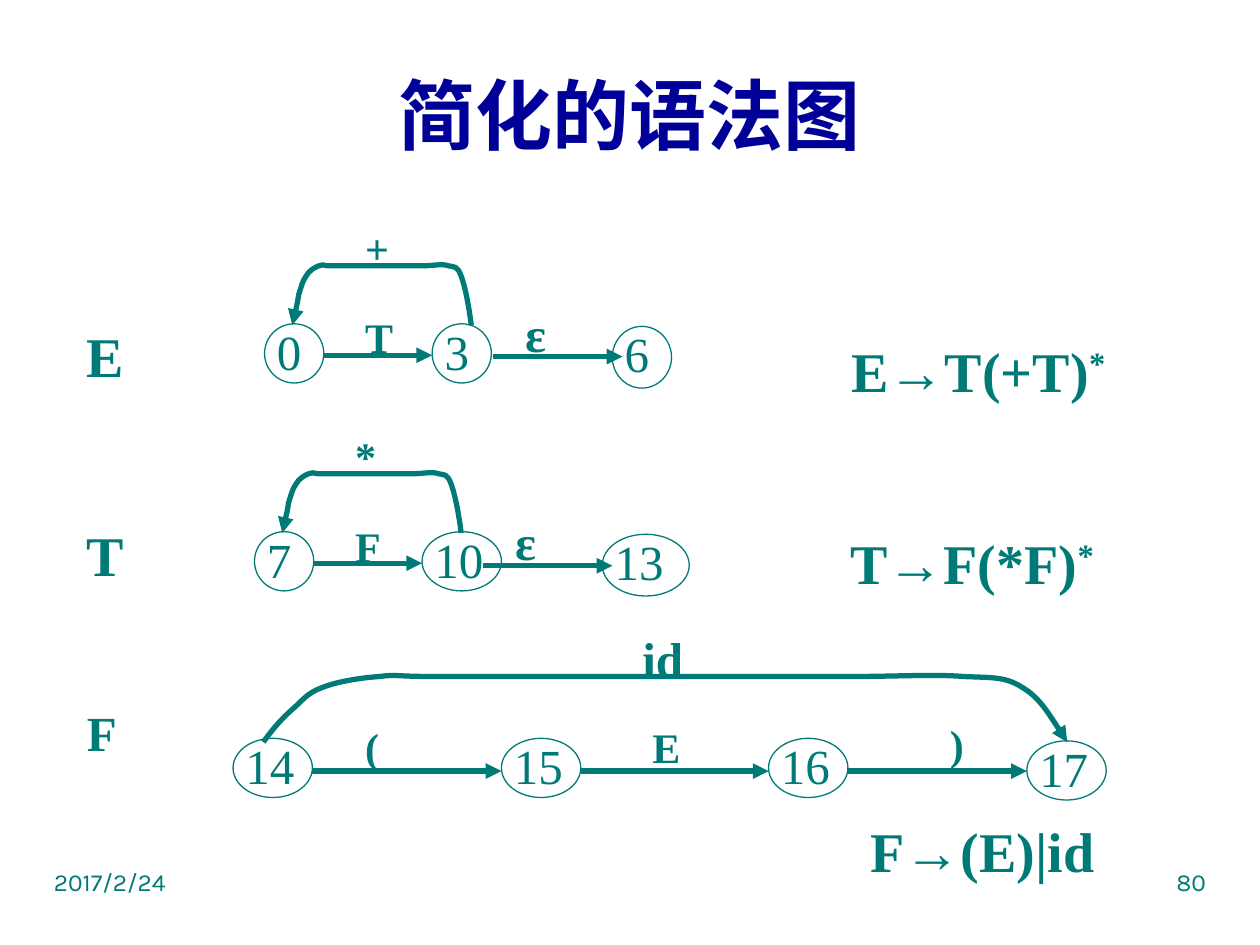
from dataclasses import dataclass
from typing import Sequence

from lxml.etree import SubElement
from pptx import Presentation
from pptx.dml.color import RGBColor
from pptx.enum.shapes import MSO_CONNECTOR, MSO_SHAPE
from pptx.enum.text import MSO_ANCHOR, PP_ALIGN as Align
from pptx.oxml.ns import qn
from pptx.util import Inches, Pt

Point = tuple[float, float]


@dataclass(frozen=True)
class Theme:
    ink: RGBColor = RGBColor(0x00, 0x7A, 0x77)
    heading: RGBColor = RGBColor(0x00, 0x00, 0x99)
    serif: str = "Times New Roman"
    footer_font: str = "Karla"
    title: int = 44
    formula: int = 32
    large: int = 28
    label: int = 24
    footer: int = 14
    outline: float = 0.75
    arrow: float = 3


@dataclass(frozen=True)
class State:
    number: str
    left: float
    top: float
    width: float = 0.47
    height: float = 0.47


@dataclass(frozen=True)
class Label:
    wording: str
    left: float
    top: float
    size: int
    width: float = 0.71
    height: float = 0.57


@dataclass(frozen=True)
class Formula:
    wording: str
    left: float
    top: float
    width: float
    superscript: str = ""
    spacing: float = 1.0


@dataclass(frozen=True)
class Edge:
    start: float
    end: float
    y: float


THEME = Theme()

STATES = [
    State("3", 3.43, 2.57), State("0", 2.1, 2.57), State("6", 4.86, 2.59, height=0.49),
    State("10", 3.35, 4.22, 0.63), State("7", 2.02, 4.22), State("13", 4.78, 4.24, 0.69, 0.49),
    State("14", 1.85, 5.86, 0.63), State("15", 3.98, 5.86, 0.63),
    State("16", 6.1, 5.86, 0.63), State("17", 8.15, 5.88, 0.63),
]
EDGES = [
    Edge(2.57, 3.43, 2.82), Edge(3.91, 4.94, 2.83),
    Edge(2.49, 3.35, 4.47), Edge(3.83, 4.86, 4.49),
    Edge(2.48, 3.98, 6.12), Edge(4.61, 6.1, 6.12), Edge(6.73, 8.15, 6.12),
]
LABELS = [
    Label("E", 0.59, 2.5, THEME.formula), Label("T", 0.59, 4.08, THEME.formula),
    Label("F", 0.59, 5.53, THEME.large),
    Label("+", 2.8, 1.72, THEME.label), Label("T", 2.8, 2.42, THEME.label),
    Label("ε", 4.07, 2.36, THEME.large),
    Label("*", 2.72, 3.37, THEME.label), Label("F", 2.72, 4.08, THEME.label),
    Label("ε", 3.99, 4.01, THEME.large),
    Label("(", 2.8, 5.68, THEME.label), Label("E", 5.08, 5.68, THEME.label),
    Label(")", 7.44, 5.65, THEME.label), Label("id", 5, 4.94, THEME.large),
]
FORMULAS = [
    Formula("E→T(+T)", 6.66, 2.57, 2.36, "*", 1.1),
    Formula("T→F(*F)", 6.65, 4.09, 2.35, "*", 1.1),
    Formula("F→(E)|id", 6.81, 6.43, 2.28),
]
# Each curve is a start point followed by triples of Bézier points.
REPEAT_LOOP = [
    (3.74, 2.58), (3.72, 2.42), (3.69, 2.27), (3.66, 2.19),
    (3.63, 2.11), (3.61, 2.12), (3.56, 2.11), (3.51, 2.09), (3.44, 2.11), (3.35, 2.11),
    (3.27, 2.11), (3.17, 2.11), (3.04, 2.11), (2.92, 2.11), (2.72, 2.11), (2.63, 2.11),
    (2.55, 2.11), (2.56, 2.09), (2.53, 2.11), (2.5, 2.12), (2.45, 2.15), (2.43, 2.19),
    (2.4, 2.23), (2.39, 2.28), (2.37, 2.34), (2.36, 2.41), (2.34, 2.49), (2.32, 2.58),
]
LOOP_SHIFTS = [(0, 0), (-0.08, 1.65)]
ID_ARC = [
    (8.47, 5.89), (8.36, 5.72), (8.25, 5.54), (8.12, 5.46),
    (7.98, 5.37), (7.89, 5.38), (7.65, 5.37), (7.42, 5.35), (7.11, 5.37), (6.73, 5.37),
    (6.34, 5.37), (5.88, 5.37), (5.33, 5.37), (4.79, 5.37), (3.87, 5.37), (3.48, 5.37),
    (3.09, 5.37), (3.17, 5.35), (3.01, 5.37), (2.86, 5.38), (2.67, 5.41), (2.55, 5.46),
    (2.44, 5.5), (2.4, 5.56), (2.32, 5.63), (2.24, 5.7), (2.16, 5.79), (2.09, 5.89),
]


def add_run(paragraph, wording: str, size: int, bold: bool = True,
            color: RGBColor = THEME.ink, face: str = THEME.serif):
    run = paragraph.add_run()
    run.text = wording
    font = run.font
    font.name, font.size, font.bold = face, Pt(size), bold
    font.color.rgb = color
    return run


def add_paragraph_box(shapes, left: float, top: float, width: float, height: float):
    """Add a wrapping text box and return its first paragraph."""
    frame = shapes.add_textbox(*map(Inches, (left, top, width, height))).text_frame
    frame.word_wrap = True
    return frame.paragraphs[0]


def style_arrow(arrow, arrowhead: str) -> None:
    arrow.line.color.rgb = THEME.ink
    arrow.line.width = Pt(THEME.arrow)
    SubElement(arrow.line._get_or_add_ln(), qn(f"a:{arrowhead}"), type="triangle")


def add_state(slide, state: State) -> None:
    members = slide.shapes.add_group_shape().shapes
    circle = members.add_shape(
        MSO_SHAPE.OVAL, *map(Inches, (state.left, state.top, state.width, state.height)))
    circle.shadow.inherit = False
    circle.fill.background()
    circle.line.color.rgb = THEME.ink
    circle.line.width = Pt(THEME.outline)
    number = add_paragraph_box(members, state.left, state.top - 0.07, state.width, 0.57)
    add_run(number, state.number, THEME.large, bold=False)


def add_edge(slide, edge: Edge) -> None:
    arrow = slide.shapes.add_connector(
        MSO_CONNECTOR.STRAIGHT, *map(Inches, (edge.start, edge.y, edge.end, edge.y)))
    style_arrow(arrow, "tailEnd")
    SubElement(arrow._element.spPr, qn("a:effectLst"))


def add_curve(slide, points: Sequence[Point], arrowhead: str) -> None:
    """Draw the points as an outline, then turn each three segments into one Bézier."""
    start, *rest = [(Inches(x), Inches(y)) for x, y in points]
    builder = slide.shapes.build_freeform(*start)
    builder.add_line_segments(rest, close=False)
    curve = builder.convert_to_shape()
    curve.shadow.inherit = False
    curve.fill.background()
    style_arrow(curve, arrowhead)
    outline = curve._element.find(f".//{qn('a:path')}")
    segments = outline.findall(qn("a:lnTo"))
    for first in range(0, len(segments), 3):
        bezier = SubElement(outline, qn("a:cubicBezTo"))
        for segment in segments[first:first + 3]:
            bezier.append(segment[0])
            outline.remove(segment)


def add_formula(slide, formula: Formula) -> None:
    rule = add_paragraph_box(slide.shapes, formula.left, formula.top, formula.width, 0.65)
    rule.line_spacing = formula.spacing
    add_run(rule, formula.wording, THEME.formula)
    if formula.superscript:
        raised = add_run(rule, formula.superscript, THEME.formula)
        raised.font._element.set("baseline", "30000")


def add_footer(slide, wording: str, left: float, alignment: Align) -> None:
    footer = add_paragraph_box(slide.shapes, left, 6.83, 2.5, 0.52)
    footer.alignment = alignment
    add_run(footer, wording, THEME.footer, bold=False, face=THEME.footer_font)


def main() -> None:
    deck = Presentation()
    deck.slide_width, deck.slide_height = Inches(10), Inches(7.5)
    slide = deck.slides.add_slide(deck.slide_layouts[5])

    title = slide.shapes.title
    title.left, title.top, title.width, title.height = map(Inches, (0.33, 0.28, 9.34, 1.25))
    title.text_frame.vertical_anchor = MSO_ANCHOR.MIDDLE
    heading = title.text_frame.paragraphs[0]
    heading.alignment = Align.CENTER
    add_run(heading, "简化的语法图", THEME.title, color=THEME.heading)

    add_footer(slide, "2017/2/24", 0.33, Align.LEFT)
    add_footer(slide, "80", 7.17, Align.RIGHT)
    for formula in FORMULAS:
        add_formula(slide, formula)
    for state in STATES:
        add_state(slide, state)
    for edge in EDGES:
        add_edge(slide, edge)
    for dx, dy in LOOP_SHIFTS:
        add_curve(slide, [(x + dx, y + dy) for x, y in REPEAT_LOOP], "tailEnd")
    add_curve(slide, ID_ARC, "headEnd")
    for label in LABELS:
        caption = add_paragraph_box(
            slide.shapes, label.left, label.top, label.width, label.height)
        add_run(caption, label.wording, label.size)

    deck.save("out.pptx")


if __name__ == "__main__":
    main()
